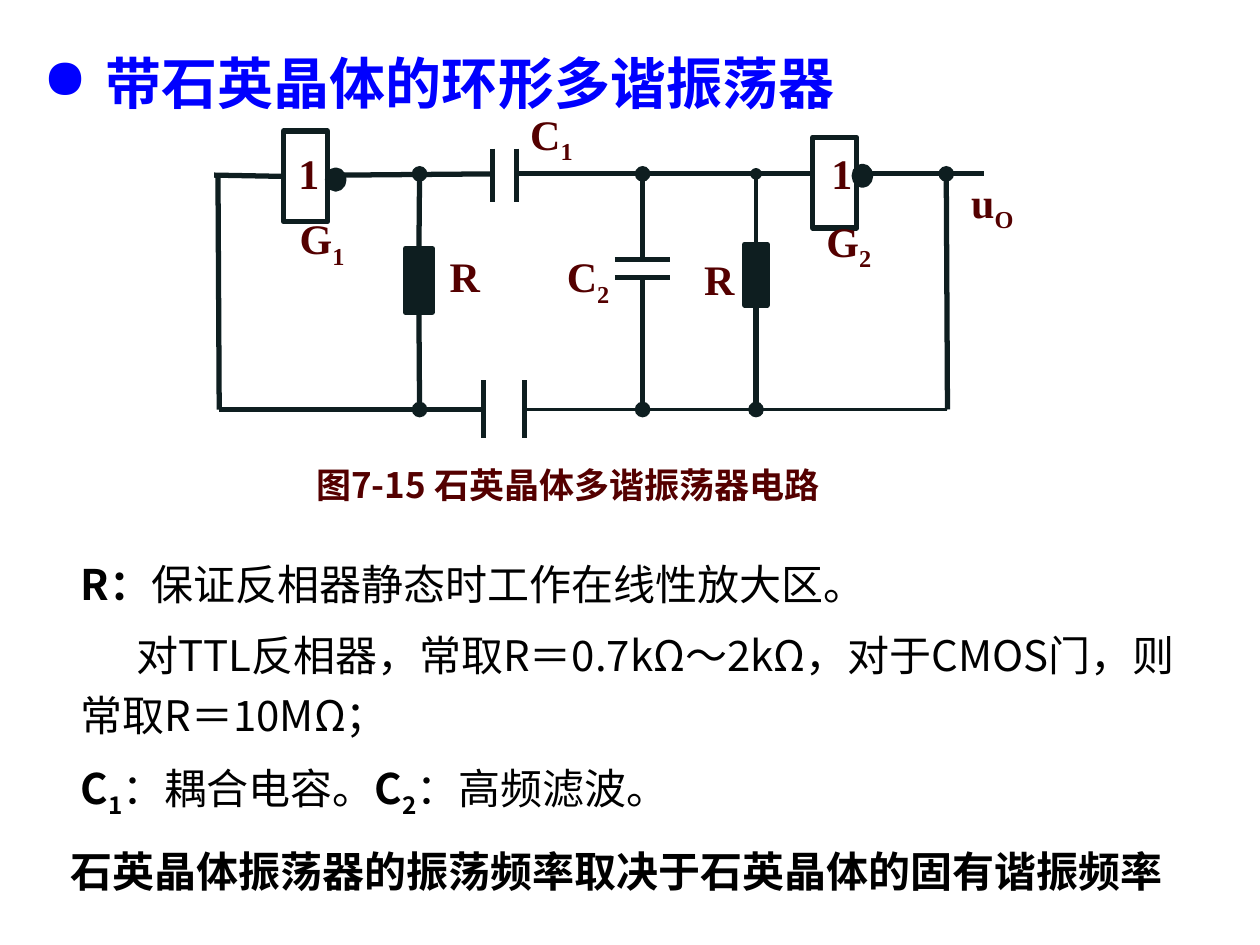
from pptx import Presentation
from pptx.dml.color import RGBColor
from pptx.enum.shapes import MSO_CONNECTOR as Connector, MSO_SHAPE as Shape
from pptx.enum.text import MSO_ANCHOR as Anchor, MSO_AUTO_SIZE as AutoSize, PP_ALIGN as Align
from pptx.oxml.ns import qn
from pptx.util import Inches, Pt
from lxml.etree import SubElement

COLORS = {"paper": "FFFFFF", "ink": "0E1E20", "label": "540000",
          "heading": "0000FF", "text": "000000"}
SANS, SERIF = "Noto Sans CJK SC", "Times New Roman"
TOP, BOTTOM = 1.38, 3.25  # heights of the two circuit rails


class CircuitSlide:
    def __init__(self, slide):
        self.slide = slide
        self.shapes = slide.shapes

    def color(self, name):
        return RGBColor.from_string(COLORS[name])

    def place(self, shape, box):
        shape.left, shape.top, shape.width, shape.height = map(Inches, box)

    def block(self, box, fill="ink", line="ink", kind=Shape.RECTANGLE):
        shape = self.shapes.add_shape(kind, *map(Inches, box))
        shape.shadow.inherit = False
        if fill:
            shape.fill.solid()
            shape.fill.fore_color.rgb = self.color(fill)
        else:
            shape.fill.background()
        if line:
            shape.line.color.rgb = self.color(line)
            shape.line.width = Pt(3)
        else:
            shape.line.fill.background()
        return shape

    def wire(self, start, end, width=3, dot=False, joint=None):
        wire = self.shapes.add_connector(Connector.STRAIGHT, *map(Inches, start + end))
        if joint:
            wire.begin_connect(*joint)
        wire.line.color.rgb = self.color("ink")
        wire.line.width = Pt(width)
        if dot:
            SubElement(wire.line._get_or_add_ln(), qn("a:tailEnd"), type="oval")
        SubElement(wire._element.spPr, qn("a:effectLst"))

    def style(self, run, size, font, color, bold=True, sub=False):
        run.font.size, run.font.name, run.font.bold = Pt(size), font, bold
        run.font.color.rgb = self.color(color)
        properties = run.font._element
        SubElement(properties, qn("a:ea"), typeface=font)
        if sub:
            properties.set("baseline", "-25000")

    def bullet(self, paragraph, char=None, margin=0, indent=0):
        properties = paragraph._p.get_or_add_pPr()
        properties.set("marL", str(Inches(margin)))
        properties.set("indent", str(Inches(indent)))
        if char:
            SubElement(properties, qn("a:buChar"), char=char)
        else:
            SubElement(properties, qn("a:buNone"))

    def label(self, box, text, sub="", size=24, font=SERIF, color="label", align=Align.JUSTIFY):
        frame = self.shapes.add_textbox(*map(Inches, box)).text_frame
        frame.word_wrap = True
        paragraph = frame.paragraphs[0]
        paragraph.text = text
        paragraph.alignment = align
        self.style(paragraph.runs[0], size, font, color)
        if sub:
            index = paragraph.add_run()
            index.text = sub
            self.style(index, size, font, color, sub=True)

    def title(self, box, text):
        title = self.shapes.title
        self.place(title, box)
        title.fill.solid()
        title.fill.fore_color.rgb = self.color("paper")
        frame = title.text_frame
        frame.text = text
        frame.vertical_anchor = Anchor.TOP
        frame.auto_size = AutoSize.SHAPE_TO_FIT_TEXT
        paragraph = frame.paragraphs[0]
        self.bullet(paragraph, "●", 0.5, -0.5)
        paragraph.alignment = Align.LEFT
        paragraph.line_spacing = 1.2
        paragraph.space_after = Pt(3)
        self.style(paragraph.runs[0], 32, SANS, "heading")

    def body(self, box, items):
        body = self.slide.placeholders[1]
        self.place(body, box)
        frame = body.text_frame
        frame.auto_size = AutoSize.SHAPE_TO_FIT_TEXT
        for number, (indent, parts) in enumerate(items):
            paragraph = frame.add_paragraph() if number else frame.paragraphs[0]
            self.bullet(paragraph, indent=indent)
            paragraph.line_spacing = 1.2
            paragraph.space_before = Pt(6 if number else 0)
            for text, bold, sub in parts:
                run = paragraph.add_run()
                run.text = text
                self.style(run, 24, SANS, "text", bold, sub)


def main():
    deck = Presentation()
    deck.slide_width, deck.slide_height = Inches(10), Inches(7.5)
    page = CircuitSlide(deck.slides.add_slide(deck.slide_layouts[1]))

    # Heading on a white band, which lies behind everything
    band = page.block((0.02, 0, 9.91, 1.11), "paper", None)._element
    band.getparent().insert(2, band)
    page.title((0.24, 0.23, 9, 0.69), "带石英晶体的环形多谐振荡器")

    # Inverters and resistors
    gate1 = page.block((2.25, 1.04, 0.35, 0.72), None)
    page.block((6.45, 1.09, 0.35, 0.72), None)
    for left, top in ((2.6, 1.35), (6.78, 1.32)):
        page.block((left, top, 0.13, 0.15), kind=Shape.OVAL)
    resistor1 = page.block((3.22, 1.97, 0.21, 0.51))
    resistor2 = page.block((5.91, 1.94, 0.18, 0.48))

    # Upper rail
    page.wire((2.25, 1.4), (1.7, 1.39), joint=(gate1, 1))
    for start, end in (((3.91, TOP), (2.72, 1.39)), ((4.09, TOP), (6.15, TOP)),
                       ((6.07, TOP), (6.46, TOP)), ((6.91, TOP), (7.81, TOP))):
        page.wire(start, end)

    # Lower rail and feedback sides
    page.wire((1.74, BOTTOM), (3.84, BOTTOM))
    page.wire((7.52, BOTTOM), (4.16, BOTTOM), 2.25)
    page.wire((1.74, BOTTOM), (1.73, 1.39))
    page.wire((7.52, BOTTOM), (7.51, TOP), dot=True)

    # Branches through the resistors and C2
    for resistor, x, top, bottom, width in ((resistor1, 3.33, 1.97, 2.48, 3),
                                            (resistor2, 6, 1.94, 2.42, 2.25)):
        page.wire((x, top), (x, TOP), width, True, (resistor, 0))
        page.wire((x, bottom), (x, BOTTOM), 3, True, (resistor, 2))
    for plate, rail in ((2.06, TOP), (2.2, BOTTOM)):
        page.wire((4.88, plate), (5.32, plate))
        page.wire((5.1, plate), (5.1, rail), dot=True)

    # Plates of C1 and of the crystal
    for x, top, bottom in ((3.91, 1.18, 1.6), (4.1, 1.18, 1.6),
                           (3.84, 3.02, 3.48), (4.16, 3.02, 3.48)):
        page.wire((x, top), (x, bottom))

    # Labels
    for box, text, sub in (((2.27, 1.12, 0.4, 0.37), "1", ""),
                           ((6.5, 1.12, 0.4, 0.37), "1", ""),
                           ((2.28, 1.64, 1, 0.87), "G", "1"),
                           ((6.46, 1.66, 0.75, 0.4), "G", "2"),
                           ((4.11, 0.81, 0.61, 0.45), "C", "1"),
                           ((4.4, 1.94, 0.61, 0.45), "C", "2"),
                           ((3.47, 1.94, 0.54, 0.4), "R", ""),
                           ((5.49, 1.96, 0.69, 0.45), "R", ""),
                           ((7.61, 1.35, 0.61, 0.49), "u", "O")):
        page.label(box, text, sub)
    page.label((2.41, 3.63, 4.49, 0.54), "图7-15 石英晶体多谐振荡器电路", size=20, font=SANS)

    # Explanation and conclusion
    page.body((0.54, 4.3, 9.12, 2.17), (
        (0, (("R：", True, False), ("保证反相器静态时工作在线性放大区。", False, False))),
        (0.44, (("对TTL反相器，常取R＝0.7kΩ～2kΩ，对于CMOS门，则常取R＝10MΩ；", False, False),)),
        (0, (("C", True, False), ("1", True, True), ("：耦合电容。", False, False),
             ("C", True, False), ("2", True, True), ("：高频滤波。", False, False))),
    ))
    page.label((0.46, 6.66, 9, 0.51), "石英晶体振荡器的振荡频率取决于石英晶体的固有谐振频率",
               font=SANS, color="text", align=Align.LEFT)
    deck.save("out.pptx")


if __name__ == "__main__":
    main()
